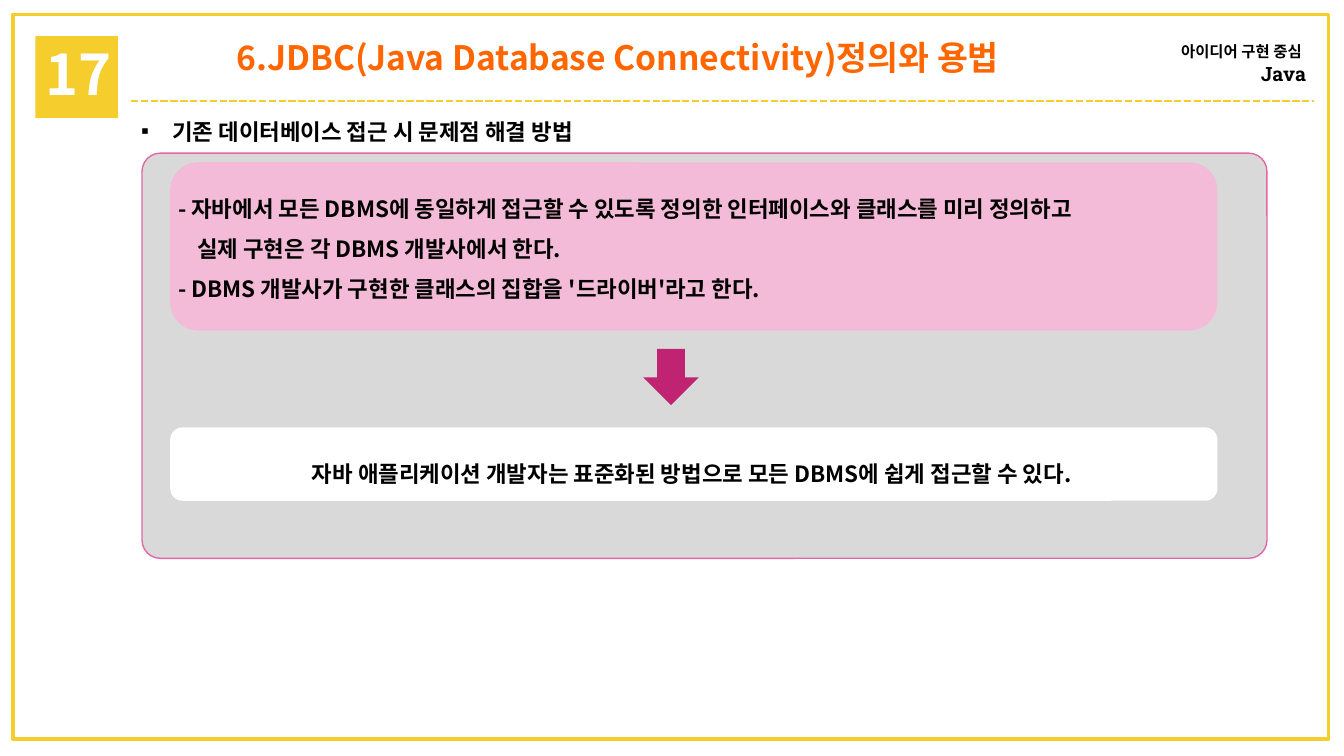
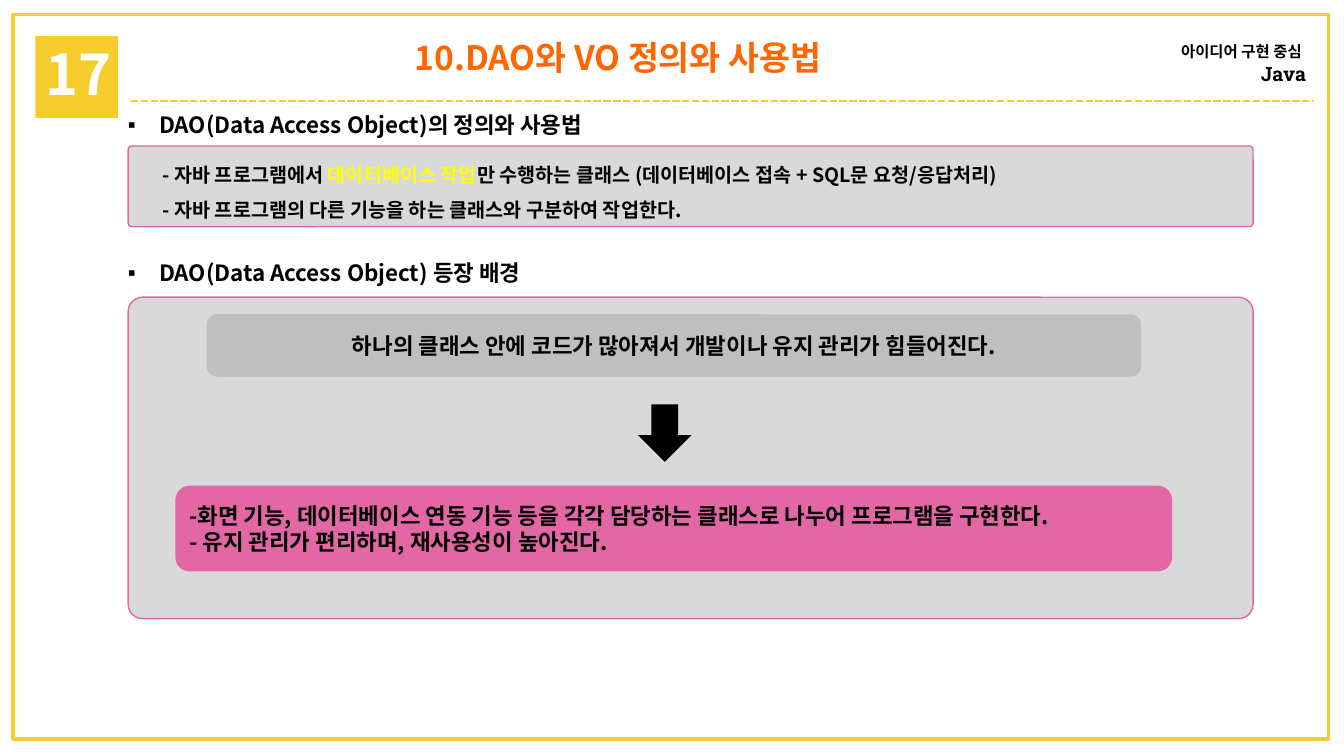
"""Build two lecture slides on JDBC and DAO with a shared yellow frame and header."""
import lxml.etree
import pptx
import pptx.dml.color
import pptx.enum.dml
import pptx.enum.shapes
import pptx.enum.text
import pptx.oxml.ns
import pptx.util

Cm = pptx.util.Cm
ALIGN = pptx.enum.text.PP_ALIGN
ANCHOR = pptx.enum.text.MSO_ANCHOR
SHAPE = pptx.enum.shapes.MSO_SHAPE
qn = pptx.oxml.ns.qn

FONT = "Noto Sans CJK KR"
YELLOW, ORANGE, BLACK, WHITE = "F5CD2D", "FF6600", "000000", "FFFFFF"
PANEL, PINK, PALE_PINK, DARK_PINK, GREY = "D9D9D9", "E367A5", "F3BBD7", "BF2371", "BFBFBF"
HIGHLIGHT = "FFFF00"


def rgb(value):
    return pptx.dml.color.RGBColor.from_string(value)


def format_text(frame, size, color=BLACK, align=ALIGN.LEFT, spacing=1.0, anchor=ANCHOR.TOP):
    frame.word_wrap = True
    frame.vertical_anchor = anchor
    if anchor == ANCHOR.TOP:
        frame.auto_size = pptx.enum.text.MSO_AUTO_SIZE.SHAPE_TO_FIT_TEXT
    for paragraph in frame.paragraphs:
        paragraph.alignment = align
        paragraph.line_spacing = spacing
        paragraph.space_before = pptx.util.Pt(0)
        for run in paragraph.runs:
            run.font.size = pptx.util.Pt(size)
            run.font.bold = True
            run.font.color.rgb = rgb(color)
            run.font.name = FONT
            east_asian = lxml.etree.SubElement(run.font._element, qn("a:ea"))
            east_asian.set("typeface", FONT)


slides = [
    {
        "title": "6.JDBC(Java Database Connectivity)정의와 용법",
        "layout": 1,
        "headings": [("기존 데이터베이스 접근 시 문제점 해결 방법", 3.3, 2.84, 14.43)],
        "panels": [(3.58, 3.86, 28.35, 10.21)],
        "boxes": [
            (SHAPE.ROUNDED_RECTANGLE, 4.29, 4.09, 26.39, 4.24, PALE_PINK, "", ALIGN.LEFT),
            (SHAPE.DOWN_ARROW, 16.21, 8.79, 1.4, 1.42, DARK_PINK, "", ALIGN.LEFT),
            (SHAPE.ROUNDED_RECTANGLE, 4.29, 10.77, 26.39, 1.85, WHITE, "", ALIGN.LEFT),
        ],
        "notes": [
            (3.96, 4.45, 3.33, 16, ALIGN.LEFT, [
                (0.28, ["- 자바에서 모든 DBMS에 동일하게 접근할 수 있도록 정의한 인터페이스와 클래스를 미리 정의하고"]),
                (0.76, ["실제 구현은 각 DBMS 개발사에서 한다."]),
                (0.28, ["- DBMS 개발사가 구현한 클래스의 집합을 '드라이버'라고 한다."]),
            ]),
            (4.08, 11.13, 1.14, 16, ALIGN.CENTER, [
                (0, ["자바 애플리케이션 개발자는 표준화된 방법으로 모든 DBMS에 쉽게 접근할 수 있다."]),
            ]),
        ],
    },
    {
        "title": "10.DAO와 VO 정의와 사용법",
        "layout": 3,
        "headings": [
            ("DAO(Data Access Object)의 정의와 사용법", 2.97, 2.67, 26.62),
            ("DAO(Data Access Object) 등장 배경", 2.97, 6.4, 26.62),
        ],
        "panels": [(3.23, 3.68, 28.35, 2.03), (3.23, 7.49, 28.35, 8.1)],
        "boxes": [
            (SHAPE.ROUNDED_RECTANGLE, 5.21, 7.92, 23.55, 1.57, GREY,
             "하나의 클래스 안에 코드가 많아져서 개발이나 유지 관리가 힘들어진다.", ALIGN.CENTER),
            (SHAPE.ROUNDED_RECTANGLE, 4.42, 12.24, 25.12, 2.16, PINK,
             "-화면 기능, 데이터베이스 연동 기능 등을 각각 담당하는 클래스로 나누어 프로그램을 구현한다.\n"
             "- 유지 관리가 편리하며, 재사용성이 높아진다.", ALIGN.LEFT),
            (SHAPE.DOWN_ARROW, 16.08, 10.19, 1.35, 1.45, BLACK, "", ALIGN.LEFT),
        ],
        "notes": [
            (3.63, 3.68, 2.06, 14, ALIGN.LEFT, [
                (0.22, ["- 자바 프로그램에서 ", "데이터베이스 작업",
                        "만 수행하는 클래스 (데이터베이스 접속 + SQL문 요청/응답처리)"]),
                (0.22, ["- 자바 프로그램의 다른 기능을 하는 클래스와 구분하여 작업한다."]),
            ]),
        ],
    },
]

presentation = pptx.Presentation()
presentation.slide_width = Cm(33.87)
presentation.slide_height = Cm(19.05)

for content in slides:
    slide = presentation.slides.add_slide(presentation.slide_layouts[content["layout"]])

    border = slide.shapes.add_shape(SHAPE.RECTANGLE, Cm(0.33), Cm(0.36), Cm(33.15), Cm(18.26))
    border.shadow.inherit = False
    border.fill.background()
    border.line.color.rgb = rgb(YELLOW)
    border.line.width = pptx.util.Pt(2.5)

    badge = slide.shapes.add_shape(SHAPE.RECTANGLE, Cm(0.89), Cm(0.91), Cm(2.08), Cm(2.06))
    badge.shadow.inherit = False
    badge.fill.solid()
    badge.fill.fore_color.rgb = rgb(YELLOW)
    badge.line.fill.background()

    chapter = slide.shapes.add_textbox(Cm(0.89), Cm(0.86), Cm(2.46), Cm(1.96))
    chapter.text_frame.text = "17"
    format_text(chapter.text_frame, 40, WHITE)

    divider = slide.shapes.add_connector(
        pptx.enum.shapes.MSO_CONNECTOR.STRAIGHT, Cm(3.3), Cm(2.54), Cm(33.12), Cm(2.54))
    divider.line.color.rgb = rgb(YELLOW)
    divider.line.width = pptx.util.Pt(1.75)
    divider.line.dash_style = pptx.enum.dml.MSO_LINE.SQUARE_DOT
    divider.line._get_or_add_ln().find(qn("a:prstDash")).set("val", "sysDash")
    lxml.etree.SubElement(divider._element.spPr, qn("a:effectLst"))

    course = slide.shapes.add_textbox(Cm(28.17), Cm(0.84), Cm(5), Cm(1.45))
    course.text_frame.text = "아이디어 구현 중심\nJava"
    motto, language = course.text_frame.paragraphs
    motto.add_run().text = " "
    format_text(course.text_frame, 14, align=ALIGN.RIGHT)
    motto.runs[0].font.size = pptx.util.Pt(11)
    language.runs[0].font.name = "Roboto Slab"

    title = slide.shapes.title
    title.left, title.top, title.width, title.height = Cm(3.63), Cm(0.81), Cm(23.88), Cm(1.27)
    title.text_frame.text = content["title"]
    format_text(title.text_frame, 24, ORANGE, ALIGN.CENTER)

    bodies = list(slide.placeholders)[1:]
    for body, (text, left, top, width) in zip(bodies, content["headings"]):
        body.left, body.top, body.width, body.height = Cm(left), Cm(top), Cm(width), Cm(0.94)
        body.text_frame.text = text
        format_text(body.text_frame, 16)
        properties = body.text_frame.paragraphs[0]._p.get_or_add_pPr()
        properties.set("marL", str(Cm(0.79)))
        properties.set("indent", str(-Cm(0.79)))
        lxml.etree.SubElement(properties, qn("a:buChar")).set("char", "▪")

    for bounds in content["panels"]:
        panel = slide.shapes.add_shape(SHAPE.ROUNDED_RECTANGLE, *map(Cm, bounds))
        panel.shadow.inherit = False
        panel.adjustments[0] = 0.045
        panel.fill.solid()
        panel.fill.fore_color.rgb = rgb(PANEL)
        panel.line.color.rgb = rgb(PINK)
        panel.line.width = pptx.util.Pt(1)

    for kind, left, top, width, height, color, text, align in content["boxes"]:
        box = slide.shapes.add_shape(kind, Cm(left), Cm(top), Cm(width), Cm(height))
        box.shadow.inherit = False
        box.fill.solid()
        box.fill.fore_color.rgb = rgb(color)
        box.line.fill.background()
        if text:
            box.text_frame.text = text
            format_text(box.text_frame, 16, align=align, anchor=ANCHOR.MIDDLE)

    for left, top, height, size, align, lines in content["notes"]:
        note = slide.shapes.add_textbox(Cm(left), Cm(top), Cm(26.7), Cm(height))
        frame = note.text_frame
        frame.text = "\n".join(pieces[0] for indent, pieces in lines)
        for paragraph, (indent, pieces) in zip(frame.paragraphs, lines):
            paragraph._p.get_or_add_pPr().set("marL", str(Cm(indent)))
            for piece in pieces[1:]:
                paragraph.add_run().text = piece
        format_text(frame, size, align=align, spacing=1.5)
        for paragraph in frame.paragraphs:
            for run in paragraph.runs[1:2]:
                run.font.color.rgb = rgb(HIGHLIGHT)

presentation.save("out.pptx")
